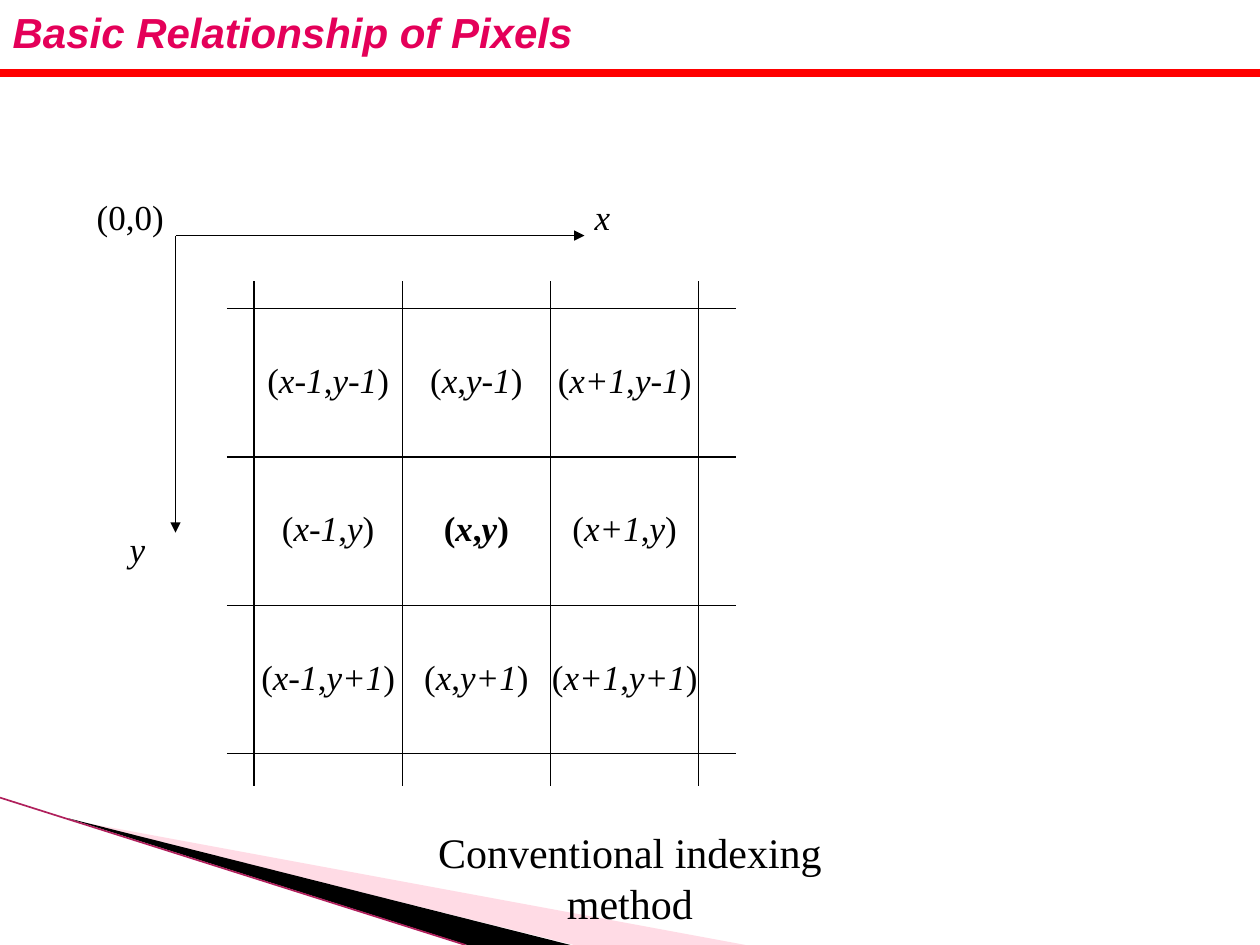
from lxml import etree
from pptx import Presentation
from pptx.dml.color import RGBColor
from pptx.enum.shapes import MSO_CONNECTOR
from pptx.enum.text import MSO_ANCHOR, PP_ALIGN
from pptx.oxml.ns import qn
from pptx.util import Pt

STRAIGHT = MSO_CONNECTOR.STRAIGHT
TOP = MSO_ANCHOR.TOP
LEFT, CENTER = PP_ALIGN.LEFT, PP_ALIGN.CENTER

COLORS = {
    "title": "E40059",
    "rule": "FF0000",
    "ink": "000000",
    "pink": "FFA5BF",
    "edge": "B0205C",
}
SERIF = {"name": "Times New Roman", "size": Pt(20), "bold": False, "italic": False}
CAPTION = {**SERIF, "size": Pt(24)}
TITLE = {"name": "Arial", "size": Pt(24), "bold": True, "italic": True}

GRID_X, GRID_Y, CELL = 145.2, 176.4, 84.7
GRID_LEFT, GRID_RIGHT = 129.6, 420.5
GRID_TOP, GRID_BOTTOM = 160.6, 449.3
LABEL_W, LABEL_H = 100, 31


def rgb(key):
    return RGBColor.from_string(COLORS[key])


def add_run(p, text, fmt, color="ink"):
    r = p.add_run()
    r.text = text
    for name, value in fmt.items():
        setattr(r.font, name, value)
    r.font.color.rgb = rgb(color)


def add_text(shapes, box, runs, wrap=False):
    sp = shapes.add_textbox(*map(Pt, box))
    tf = sp.text_frame
    tf.word_wrap = wrap
    p = tf.paragraphs[0]
    p.alignment = CENTER
    for text, fmt in runs:
        add_run(p, text, fmt)


def add_line(shapes, ends, color="ink", width=0.75, arrow=False):
    line = shapes.add_connector(STRAIGHT, *map(Pt, ends))
    line.line.color.rgb = rgb(color)
    line.line.width = Pt(width)
    sp_pr = line._element.spPr
    if arrow:
        etree.SubElement(sp_pr.find(qn("a:ln")), qn("a:tailEnd"), type="triangle")
    etree.SubElement(sp_pr, qn("a:effectLst"))


def add_wedge(shapes, points, color, alpha=None):
    start, *rest = [(Pt(x), Pt(y)) for x, y in points]
    builder = shapes.build_freeform(*start)
    builder.add_line_segments(rest, close=True)
    sp = builder.convert_to_shape()
    sp.shadow.inherit = False
    sp.fill.solid()
    sp.fill.fore_color.rgb = rgb(color)
    sp.line.fill.background()
    if alpha is not None:
        clr = sp._element.spPr.find(".//" + qn("a:srgbClr"))
        etree.SubElement(clr, qn("a:alpha"), val=str(alpha * 1000))


def set_title(slide, text):
    sp = slide.shapes.title
    sp.left, sp.top, sp.width, sp.height = map(Pt, (0, 0, 360, 36))
    tf = sp.text_frame
    tf.word_wrap = True
    tf.vertical_anchor = TOP
    p = tf.paragraphs[0]
    p.alignment = LEFT
    add_run(p, text, TITLE, "title")


def add_decoration(shapes):
    add_wedge(shapes, [(39.6, 468.5), (426, 540), (328, 540)], "pink", alpha=40)
    add_wedge(shapes, [(38.5, 467.5), (326, 540), (267, 540)], "ink")
    add_line(shapes, (0, 455.8, 266, 540), "edge", 0.95)
    add_line(shapes, (0, 41.8, 720, 41.8), "rule", 4.5)


def add_axes(shapes):
    add_line(shapes, (100.8, 134.6, 334, 134.6), arrow=True)
    add_line(shapes, (100.3, 134.6, 100.3, 304.4), arrow=True)
    italic = {**SERIF, "italic": True}
    add_text(shapes, (332.7, 108.2, 23, LABEL_H), [("x", italic)])
    add_text(shapes, (67, 297.7, 23, LABEL_H), [("y", italic)])
    add_text(shapes, (48.2, 108.2, 52.6, LABEL_H), [("(0,0)", SERIF)])


def add_pixel_grid(shapes):
    for i in range(4):
        x, y = GRID_X + i * CELL, GRID_Y + i * CELL
        add_line(shapes, (x, GRID_TOP, x, GRID_BOTTOM))
        add_line(shapes, (GRID_LEFT, y, GRID_RIGHT, y))
    offsets = ["-1", "", "+1"]
    for row, dy in enumerate(offsets):
        for col, dx in enumerate(offsets):
            plain = {**SERIF, "bold": row == col == 1}
            italic = {**plain, "italic": True}
            left = GRID_X + (col + 0.5) * CELL - LABEL_W / 2
            top = GRID_Y + row * CELL + 25
            runs = [("(", plain), ("x" + dx, italic), (",", plain),
                    ("y" + dy, italic), (")", plain)]
            add_text(shapes, (left, top, LABEL_W, LABEL_H), runs)


def main():
    prs = Presentation()
    prs.slide_width, prs.slide_height = Pt(720), Pt(540)
    slide = prs.slides.add_slide(prs.slide_layouts[5])
    shapes = slide.shapes
    set_title(slide, "Basic Relationship of Pixels")
    add_decoration(shapes)
    add_axes(shapes)
    add_text(shapes, (216, 469, 288, 66),
             [("Conventional indexing method", CAPTION)], wrap=True)
    add_pixel_grid(shapes.add_group_shape().shapes)
    prs.save("out.pptx")


if __name__ == "__main__":
    main()
